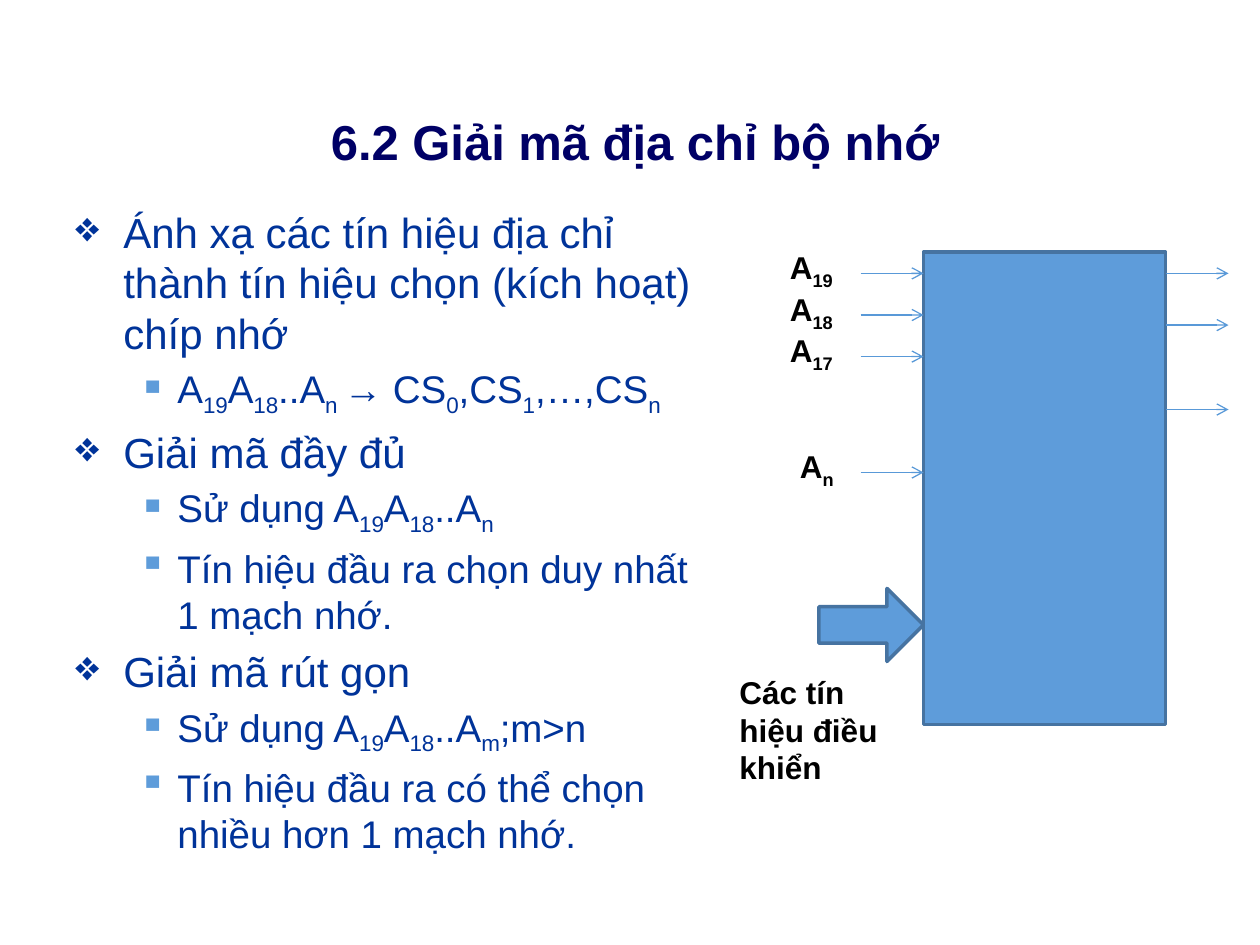
from lxml.etree import SubElement
from pptx import Presentation
from pptx.dml.color import RGBColor
from pptx.enum.shapes import MSO_CONNECTOR, MSO_SHAPE
from pptx.enum.text import MSO_ANCHOR, PP_ALIGN
from pptx.oxml.ns import qn
from pptx.util import Inches, Pt


def rgb(value):
    return RGBColor.from_string(value)


class DecoderSlide:
    FONT = "Arial"
    TITLE, BODY, LABEL = "000066", "003399", "000000"
    FILL, OUTLINE, WIRE = "5E9CDA", "4673A1", "5999D8"
    # size, left margin, hanging indent, bullet, bullet colour
    LEVELS = [(24, 0.38, 0.38, "❖", BODY), (22, 0.81, 0.31, "▪", FILL)]

    def __init__(self, presentation):
        self.slide = presentation.slides.add_slide(presentation.slide_layouts[6])

    def add_runs(self, paragraph, text, size, color, bold=False):
        """Fill a paragraph; parts between ~ marks are subscripts."""
        for index, part in enumerate(text.split("~")):
            if not part:
                continue
            run = paragraph.add_run()
            run.text = part
            run.font.name = self.FONT
            run.font.size = Pt(size)
            run.font.bold = bold
            run.font.color.rgb = rgb(color)
            if index % 2:
                run._r.get_or_add_rPr().set("baseline", "-25000")

    def frame(self, left, top, width, height):
        box = self.slide.shapes.add_textbox(
            Inches(left), Inches(top), Inches(width), Inches(height))
        box.text_frame.word_wrap = True
        return box.text_frame

    def title(self, text, *place):
        frame = self.frame(*place)
        frame.vertical_anchor = MSO_ANCHOR.MIDDLE
        frame.paragraphs[0].alignment = PP_ALIGN.CENTER
        self.add_runs(frame.paragraphs[0], text, 28, self.TITLE, bold=True)

    def label(self, text, *place):
        self.add_runs(self.frame(*place).paragraphs[0], text, 18, self.LABEL, bold=True)

    def outline(self, items, *place):
        frame = self.frame(*place)
        for index, (level, text) in enumerate(items):
            size, margin, hanging, bullet, bullet_color = self.LEVELS[level]
            paragraph = frame.add_paragraph() if index else frame.paragraphs[0]
            paragraph.level = level
            paragraph.space_before = Pt(0.2 * size)
            properties = paragraph._p.get_or_add_pPr()
            properties.set("marL", str(Inches(margin)))
            properties.set("indent", str(-Inches(hanging)))
            color = SubElement(properties, qn("a:buClr"))
            SubElement(color, qn("a:srgbClr"), val=bullet_color)
            SubElement(properties, qn("a:buChar"), char=bullet)
            self.add_runs(paragraph, text, size, self.BODY)

    def block(self, kind, left, top, width, height):
        shape = self.slide.shapes.add_shape(
            kind, Inches(left), Inches(top), Inches(width), Inches(height))
        shape.shadow.inherit = False
        shape.fill.solid()
        shape.fill.fore_color.rgb = rgb(self.FILL)
        shape.line.color.rgb = rgb(self.OUTLINE)
        shape.line.width = Pt(2)

    def signal(self, left, y, length=0.5):
        wire = self.slide.shapes.add_connector(
            MSO_CONNECTOR.STRAIGHT, Inches(left), Inches(y),
            Inches(left + length), Inches(y))
        wire.line.color.rgb = rgb(self.WIRE)
        wire.line.width = Pt(0.75)
        properties = wire._element.spPr
        SubElement(properties.find(qn("a:ln")), qn("a:tailEnd"), type="arrow")
        SubElement(properties, qn("a:effectLst"))


def main():
    presentation = Presentation()
    presentation.slide_width = Inches(10)
    presentation.slide_height = Inches(7.5)
    slide = DecoderSlide(presentation)

    # Title and outline
    slide.title("6.2 Giải mã địa chỉ bộ nhớ", 0.25, 0.83, 9.58, 0.57)
    slide.outline([
        (0, "Ánh xạ các tín hiệu địa chỉ thành tín hiệu chọn (kích hoạt) chíp nhớ"),
        (1, "A~19~A~18~..A~n ~→ CS~0~,CS~1~,…,CS~n~"),
        (0, "Giải mã đầy đủ"),
        (1, "Sử dụng A~19~A~18~..A~n~"),
        (1, "Tín hiệu đầu ra chọn duy nhất 1 mạch nhớ."),
        (0, "Giải mã rút gọn"),
        (1, "Sử dụng A~19~A~18~..A~m~;m>n"),
        (1, "Tín hiệu đầu ra có thể chọn nhiều hơn 1 mạch nhớ."),
    ], 0.5, 1.59, 5.15, 5.15)

    # Decoder
    decoder_left, decoder_width = 7.33, 1.92
    slide.block(MSO_SHAPE.RECTANGLE, decoder_left, 2, decoder_width, 3.75)

    # Address inputs
    for line, label_left, y in [("19", 6.17, 2.17), ("18", 6.17, 2.5),
                                ("17", 6.17, 2.83), ("n", 6.25, 3.75)]:
        slide.signal(decoder_left - 0.5, y)
        slide.label(f"A~{line}~", label_left, y - 0.25, 0.67, 0.4)

    # Chip select outputs
    for y in (2.17, 2.58, 3.25):
        slide.signal(decoder_left + decoder_width, y)

    # Control signals
    slide.block(MSO_SHAPE.RIGHT_ARROW, 6.5, 4.67, 0.83, 0.58)
    slide.label("Các tín hiệu điều khiển", 5.77, 5.29, 1.5, 1)

    presentation.save("out.pptx")


if __name__ == "__main__":
    main()
